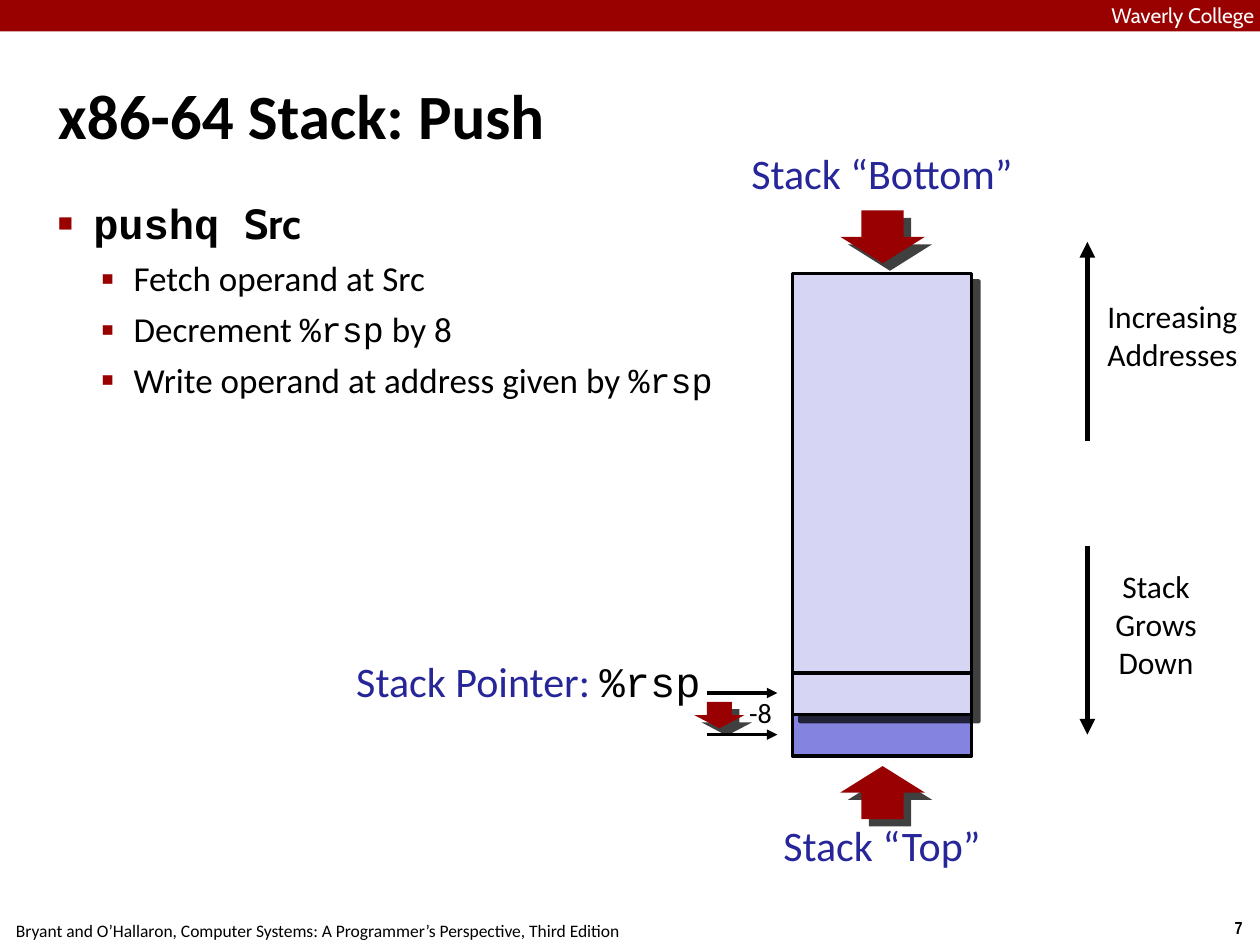
import pptx
import pptx.util
import pptx.oxml
import pptx.oxml.ns
import pptx.dml.color
import pptx.enum.shapes
import pptx.enum.text

Inches = pptx.util.Inches
Pt = pptx.util.Pt
SHAPE = pptx.enum.shapes.MSO_SHAPE
ALIGN = pptx.enum.text.PP_ALIGN
ANCHOR = pptx.enum.text.MSO_ANCHOR
COLORS = {"black": "000000", "white": "FFFFFF", "red": "990000", "arrow": "980002",
          "blue": "262699", "stack": "D6D6F4", "pushed": "8484E0"}
NS = pptx.oxml.ns.nsdecls("a")
SANS, MONO = "Calibri", "Courier New"


def rgb(name):
    return pptx.dml.color.RGBColor.from_string(COLORS[name])


def add_run(p, text, size, color="black", name=SANS, bold=False):
    r = p.add_run()
    r.text = text
    for key, value in {"size": Pt(size), "name": name, "bold": bold}.items():
        setattr(r.font, key, value)
    r.font.color.rgb = rgb(color)


def format_frame(tf, margin=0, wrap=True, anchor=ANCHOR.TOP):
    values = {"word_wrap": wrap, "vertical_anchor": anchor,
              "auto_size": pptx.enum.text.MSO_AUTO_SIZE.NONE}
    for side in ("left", "top", "right", "bottom"):
        values["margin_" + side] = Inches(margin)
    for key, value in values.items():
        setattr(tf, key, value)


def add_label(slide, box, lines, size, color="black", align=ALIGN.CENTER,
              margin=0, wrap=False, name=SANS, bold=False):
    sp = slide.shapes.add_textbox(*map(Inches, box))
    tf = sp.text_frame
    format_frame(tf, margin, wrap)
    for i, line in enumerate(lines):
        p = tf.add_paragraph() if i else tf.paragraphs[0]
        p.alignment = align
        add_run(p, line, size, color, name, bold)
    return sp


def add_block(slide, kind, box, fill, line=False, shadow=False):
    sp = slide.shapes.add_shape(kind, *map(Inches, box))
    sp.fill.solid()
    sp.fill.fore_color.rgb = rgb(fill)
    if line:
        sp.line.color.rgb = rgb("black")
        sp.line.width = Pt(2)
    else:
        sp.line.fill.background()
    sp.shadow.inherit = False
    if shadow:
        effects = sp._element.spPr.find(pptx.oxml.ns.qn("a:effectLst"))
        effects.append(pptx.oxml.parse_xml(
            f'<a:outerShdw {NS} blurRad="0" dist="{Pt(6)}" dir="2700000" algn="ctr" rotWithShape="0">'
            f'<a:srgbClr val="{COLORS["black"]}"><a:alpha val="75000"/></a:srgbClr></a:outerShdw>'))
    return sp


def add_line(slide, x1, y1, x2, y2, width=2, arrow=True):
    cx = slide.shapes.add_connector(pptx.enum.shapes.MSO_CONNECTOR.STRAIGHT,
                                    *map(Inches, (x1, y1, x2, y2)))
    cx.line.color.rgb = rgb("black")
    cx.line.width = Pt(width)
    if arrow:
        cx.line._get_or_add_ln().append(pptx.oxml.parse_xml(f'<a:tailEnd {NS} type="triangle"/>'))
    cx._element.spPr.append(pptx.oxml.parse_xml(f"<a:effectLst {NS}/>"))


def place(sp, box):
    for key, value in zip(("left", "top", "width", "height"), box):
        setattr(sp, key, Inches(value))


def set_indent(p, left, hang):
    pPr = p._p.get_or_add_pPr()
    pPr.set("marL", str(Inches(left)))
    pPr.set("indent", str(-Inches(hang)))
    return pPr


def add_header(slide, box):
    x, y, w, h = box
    add_block(slide, SHAPE.RECTANGLE, box, "red")
    add_label(slide, (x + 8.82, y + 0.02, 1.44, 0.19), ["Waverly College"], 12, "white",
              ALIGN.LEFT, wrap=True, name="Cabin")


def add_footer(slide, box):
    x, y, w, h = box
    add_label(slide, (x - 0.02, y + 0.02, 5.08, h),
              ["Bryant and O’Hallaron, Computer Systems: A Programmer’s Perspective, Third Edition"],
              10, margin=0.05)
    add_label(slide, (x + w - 0.34, y, 0.34, h), ["7"], 10, margin=0.05,
              name="Arial Narrow", bold=True)


def fill_title(sp, box, text):
    place(sp, box)
    format_frame(sp.text_frame, 0.04, anchor=ANCHOR.MIDDLE)
    p = sp.text_frame.paragraphs[0]
    p.alignment = ALIGN.LEFT
    set_indent(p, 0.13, 0.13)
    add_run(p, text, 36, bold=True)


def fill_body(sp, box, items):
    place(sp, box)
    tf = sp.text_frame
    format_frame(tf, 0.04)
    levels = [(0.28, 0.28, 6, "■", 60, 24, True), (0.6, 0.26, 5, "▪", 110, 20, False)]
    for i, (level, runs) in enumerate(items):
        left, hang, before, bullet, percent, size, bold = levels[level]
        p = tf.add_paragraph() if i else tf.paragraphs[0]
        p.level = level
        p.space_before = Pt(before)
        pPr = set_indent(p, left, hang)
        for xml in (f'<a:buClr {NS}><a:srgbClr val="{COLORS["red"]}"/></a:buClr>',
                    f'<a:buSzPct {NS} val="{percent * 1000}"/>',
                    f'<a:buFont {NS} typeface="Arial"/>',
                    f'<a:buChar {NS} char="{bullet}"/>'):
            pPr.append(pptx.oxml.parse_xml(xml))
        for text, name in runs:
            add_run(p, text, size, name=name, bold=bold)


def add_stack(slide, box):
    x, y, w, h = box
    slot = 0.33
    bottom = y + h
    mid = x + w / 2
    add_block(slide, SHAPE.RECTANGLE, (x, bottom - slot, w, slot), "pushed", line=True)
    add_block(slide, SHAPE.RECTANGLE, (x, y, w, h - slot), "stack", line=True, shadow=True)
    add_line(slide, x, bottom - 2 * slot, x + w, bottom - 2 * slot, arrow=False)
    for kind, top, label_top, text in (
            (SHAPE.DOWN_ARROW, y - 0.5, y - 1, "Stack “Bottom”"),
            (SHAPE.UP_ARROW, bottom + 0.08, bottom + 0.5, "Stack “Top”")):
        add_block(slide, kind, (mid - 0.33, top, 0.67, 0.42), "arrow", shadow=True)
        add_label(slide, (mid - 1.07, label_top, 2.14, 0.49), [text], 24, "blue")


def add_pointer(slide, box):
    x, y, w, h = box
    sp = add_label(slide, (x, y, 2.78, 0.4), ["Stack Pointer: "], 24, "blue", ALIGN.RIGHT)
    add_run(sp.text_frame.paragraphs[0], "%rsp", 24, name=MONO)
    for level in (y + 0.3, y + h):
        add_line(slide, x + w - 0.56, level, x + w, level)
    add_block(slide, SHAPE.DOWN_ARROW, (x + 2.73, y + 0.37, 0.4, 0.21), "arrow", shadow=True)
    add_label(slide, (x + w - 0.27, y + 0.28, 0.27, 0.35), ["-8"], 16, margin=0.04)


def add_directions(slide, box):
    x, y, w, h = box
    add_line(slide, x, y + 1.58, x, y, 3)
    add_label(slide, (x + 0.11, y + 0.44, 1.13, 0.69), ["Increasing", "Addresses"], 18)
    add_line(slide, x, y + h - 1.5, x, y + h, 3)
    add_label(slide, (x + 0.1, y + h - 1.33, 0.89, 1), ["Stack Grows", "Down"], 18, wrap=True)


prs = pptx.Presentation()
prs.slide_width, prs.slide_height = Inches(10), Inches(7.5)
slide = prs.slides.add_slide(prs.slide_layouts[1])
add_footer(slide, (0, 7.23, 10, 0.27))
add_header(slide, (0, 0, 10, 0.25))
fill_title(slide.shapes.title, (0.42, 0.28, 9.17, 1.25), "x86-64 Stack: Push")
fill_body(slide.placeholders[1], (0.42, 1.53, 9.17, 5.94), [
    (0, [("pushq ", MONO), ("Src", "Cabin")]),
    (1, [("Fetch operand at Src", SANS)]),
    (1, [("Decrement ", SANS), ("%rsp", MONO), (" by 8", SANS)]),
    (1, [("Write operand at address given by ", SANS), ("%rsp", MONO)]),
])
add_stack(slide, (6.29, 2.17, 1.42, 3.83))
add_pointer(slide, (2.78, 5.2, 3.39, 0.63))
add_directions(slide, (8.63, 1.92, 1.24, 3.91))
prs.save("out.pptx")
